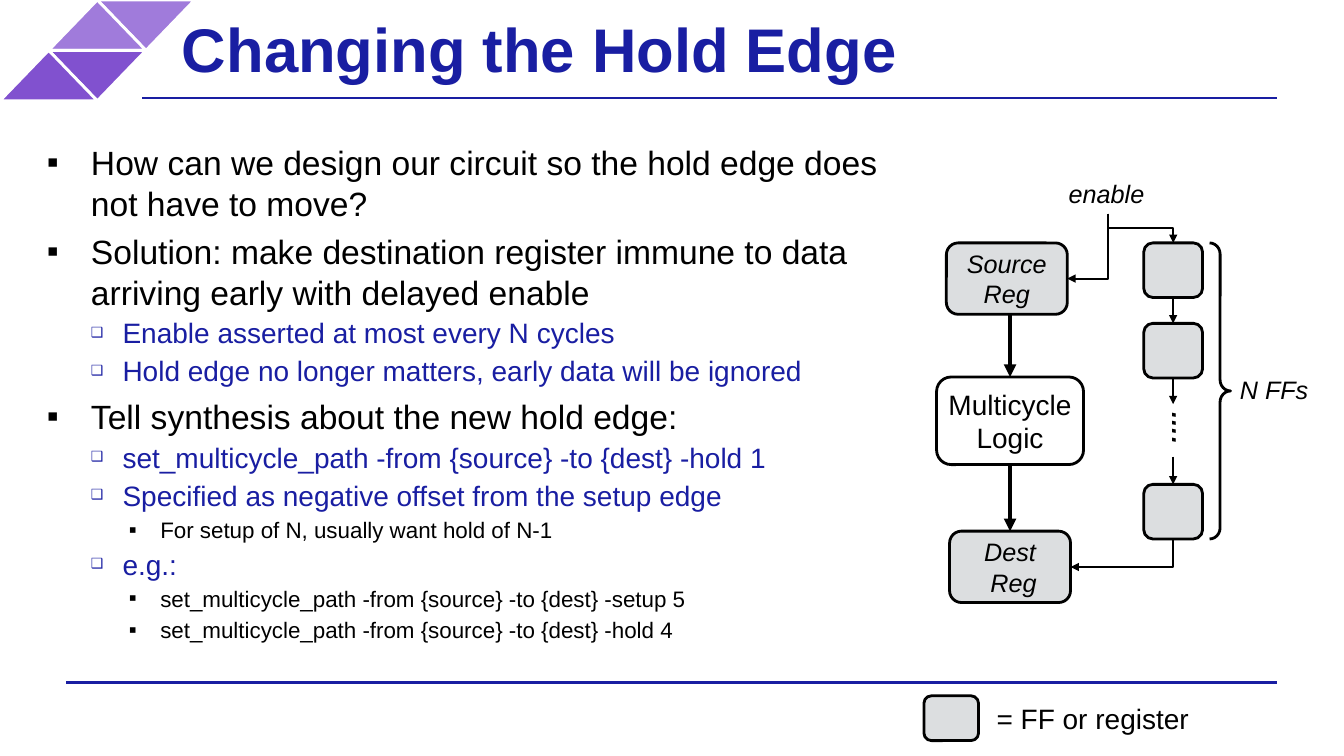
from pptx import Presentation
from pptx.dml.color import RGBColor
from pptx.enum.shapes import MSO_CONNECTOR as LINK, MSO_SHAPE as SHAPE
from pptx.enum.text import MSO_ANCHOR as ANCHOR, PP_ALIGN as ALIGN
from pptx.oxml.ns import qn
from pptx.util import Pt
from lxml.etree import SubElement

NAVY = RGBColor(0x19, 0x1E, 0xA2)
LILAC = RGBColor(0xA0, 0x7B, 0xDB)
PURPLE = RGBColor(0x81, 0x51, 0xCF)
GREY = RGBColor(0xDC, 0xDE, 0xE0)
BLACK = RGBColor(0, 0, 0)
WHITE = RGBColor(0xFF, 0xFF, 0xFF)

TITLE = {"size": Pt(44), "bold": True}
ITALIC = {"size": Pt(18), "italic": True}
DOTS = {"size": Pt(18), "italic": True, "bold": True}
PLAIN = {"size": Pt(20)}

# level: bullet, bullet size %, left margin, hanging indent, space before, size, colour
LEVELS = [
    ("▪", 100, 36, 31.5, 6, 24, BLACK),
    ("❑", 50, 58.5, 22.5, 3, 20, NAVY),
    ("▪", 100, 85.5, 22.5, 3, 16, BLACK),
]
BULLETS = [
    (0, "How can we design our circuit so the hold edge does not have to move?"),
    (0, "Solution: make destination register immune to data arriving early with delayed enable"),
    (1, "Enable asserted at most every N cycles"),
    (1, "Hold edge no longer matters, early data will be ignored"),
    (0, "Tell synthesis about the new hold edge:"),
    (1, "set_multicycle_path -from {source} -to {dest} -hold 1"),
    (1, "Specified as negative offset from the setup edge"),
    (2, "For setup of N, usually want hold of N-1"),
    (1, "e.g.:"),
    (2, "set_multicycle_path -from {source} -to {dest} -setup 5"),
    (2, "set_multicycle_path -from {source} -to {dest} -hold 4"),
]


def style_font(font, style, colour=BLACK):
    for name, value in {"name": "Arial", **style}.items():
        setattr(font, name, value)
    font.color.rgb = colour


def write(holder, text, style, colour=BLACK, align=ALIGN.LEFT, inset=4.3):
    frame = holder.text_frame
    settings = {"word_wrap": True, "vertical_anchor": ANCHOR.MIDDLE, "text": text}
    settings.update({f"margin_{side}": Pt(inset) for side in ("left", "top", "right", "bottom")})
    for name, value in settings.items():
        setattr(frame, name, value)
    paragraph = frame.paragraphs[0]
    paragraph.alignment = align
    for run in paragraph.runs:
        style_font(run.font, style, colour)


def label(slide, text, box, style, **options):
    holder = slide.shapes.add_textbox(*map(Pt, box))
    write(holder, text, style, **options)
    return holder


def block(slide, kind, box, fill=None, line=BLACK):
    shape = slide.shapes.add_shape(kind, *map(Pt, box))
    shape.shadow.inherit = False
    if fill is None:
        shape.fill.background()
    else:
        shape.fill.solid()
        shape.fill.fore_color.rgb = fill
    shape.line.color.rgb = line
    shape.line.width = Pt(2)
    return shape


def register(slide, box, text="", fill=GREY, style=ITALIC):
    shape = block(slide, SHAPE.ROUNDED_RECTANGLE, box, fill)
    if text:
        write(shape, text, style, align=ALIGN.CENTER)
    return shape


def link(slide, start, end, width, kind=LINK.STRAIGHT, colour=BLACK, arrow=True):
    wire = slide.shapes.add_connector(kind, *map(Pt, (*start, *end)))
    wire.line.color.rgb = colour
    wire.line.width = Pt(width)
    if arrow:
        SubElement(wire.line._get_or_add_ln(), qn("a:tailEnd"), type="triangle")
    SubElement(wire._element.spPr, qn("a:effectLst"))
    return wire


def elbow(slide, start, end):
    """Arrow leaving start downwards: sideways into a left target, from above into a right one."""
    (x1, y1), (x2, y2) = start, end
    long, short = y2 - y1, abs(x2 - x1)
    left, top = (x1 + x2 - long) / 2, (y1 + y2 - short) / 2
    wire = link(slide, (left, top), (left + long, top + short), 1.5, LINK.ELBOW)
    properties = wire._element.spPr
    frame = properties.find(qn("a:xfrm"))
    if x2 > x1:
        frame.set("rot", str(270 * 60000))
        frame.set("flipH", "1")
    else:
        frame.set("rot", str(90 * 60000))
        properties.find(qn("a:prstGeom")).set("prst", "bentConnector2")


def draw_header(slide, left, top):
    width, height = 69.5, 36
    for column, row, turn, fill in ((2, 0, 180, LILAC), (1, 0, 0, LILAC),
                                    (1, 1, 180, PURPLE), (0, 1, 0, PURPLE)):
        triangle = block(slide, SHAPE.ISOSCELES_TRIANGLE,
                         (left + column * width / 2, top + row * height, width, height), fill, WHITE)
        triangle.rotation = turn
    link(slide, (left + 101.5, top + 70), (left + 912, top + 70), 2, colour=NAVY, arrow=False)
    label(slide, "Changing the Hold Edge", (left + 120, top, 798, 68.5), TITLE,
          colour=NAVY, inset=10)


def draw_bullets(slide, left, top, width, height):
    frame = slide.shapes.add_textbox(*map(Pt, (left, top, width, height))).text_frame
    frame.word_wrap = True
    for side in ("left", "top", "right", "bottom"):
        setattr(frame, f"margin_{side}", 0)
    for index, (level, text) in enumerate(BULLETS):
        mark, percent, margin, hang, before, size, colour = LEVELS[level]
        paragraph = frame.add_paragraph() if index else frame.paragraphs[0]
        paragraph.level = level
        paragraph.space_before = Pt(before)
        run = paragraph.add_run()
        run.text = text
        style_font(run.font, {"size": Pt(size)}, colour)
        layout = paragraph._p.get_or_add_pPr()
        layout.set("marL", str(Pt(margin)))
        layout.set("indent", str(-Pt(hang)))
        SubElement(layout, qn("a:buSzPct"), val=str(percent * 1000))
        SubElement(layout, qn("a:buFont"), typeface="Arial")
        SubElement(layout, qn("a:buChar"), char=mark)


def draw_circuit(slide, left, top):
    def at(x, y, *size):
        return (left + x, top + y, *size)

    row, pitch, ff_width, ff_height = 50.5, 57.5, 42, 39
    ff_left, pin = 148, (122.3, 29.6)
    ff_middle = ff_left + ff_width / 2
    source = register(slide, at(7, row, 86.4, 51), "Source Reg")
    logic = register(slide, at(0, 146.3, 105, 62.6), "Multicycle Logic", WHITE, PLAIN)
    dest = register(slide, at(9.3, 256.4, 86.4, 51), "Dest\v Reg")
    first, second, last = [register(slide, at(ff_left, row + step * pitch, ff_width, ff_height))
                           for step in (0, 1, 3)]

    link(slide, at(52.5, row + 51), at(52.5, 146.3), 3).end_connect(logic, 0)
    for begin, end, width in ((logic, dest, 3), (first, second, 1.5)):
        wire = link(slide, at(0, 0), at(0, 0), width)
        wire.begin_connect(begin, 2)
        wire.end_connect(end, 0)
    link(slide, at(ff_middle, 147), at(ff_middle, 165.7), 1.5).begin_connect(second, 2)
    link(slide, at(ff_middle, 203.2), at(ff_middle, 223), 1.5).end_connect(last, 0)
    elbow(slide, at(*pin), at(ff_middle, row))
    elbow(slide, at(*pin), at(93.4, row + 25.5))
    elbow(slide, at(ff_middle, row + 3 * pitch + ff_height), at(95.7, 282))

    brace = block(slide, SHAPE.RIGHT_BRACE, at(195, row, 15, 3 * pitch + ff_height))
    brace.adjustments[0] = 0.53
    label(slide, "enable", at(90, 0, 65, 30), ITALIC)
    label(slide, "N FFs", at(212.3, 140.5, 65, 30), ITALIC)
    label(slide, "….", at(143, 184.4, 65, 30), DOTS).rotation = 90


def draw_footer(slide, left, top):
    link(slide, (left, top), (left + 864.5, top), 2, colour=NAVY, arrow=False)
    register(slide, (left + 612.5, top + 9.5, 39, 32))
    label(slide, "= FF or register", (left + 660, top + 9.5, 170, 32), PLAIN)


def main():
    deck = Presentation()
    deck.slide_width, deck.slide_height = Pt(960), Pt(540)
    slide = deck.slides.add_slide(deck.slide_layouts[6])
    draw_header(slide, 0, 0)
    draw_bullets(slide, 29, 101.5, 599, 139)
    draw_circuit(slide, 669, 123)
    draw_footer(slide, 47.5, 487.5)
    deck.save("out.pptx")


if __name__ == "__main__":
    main()
